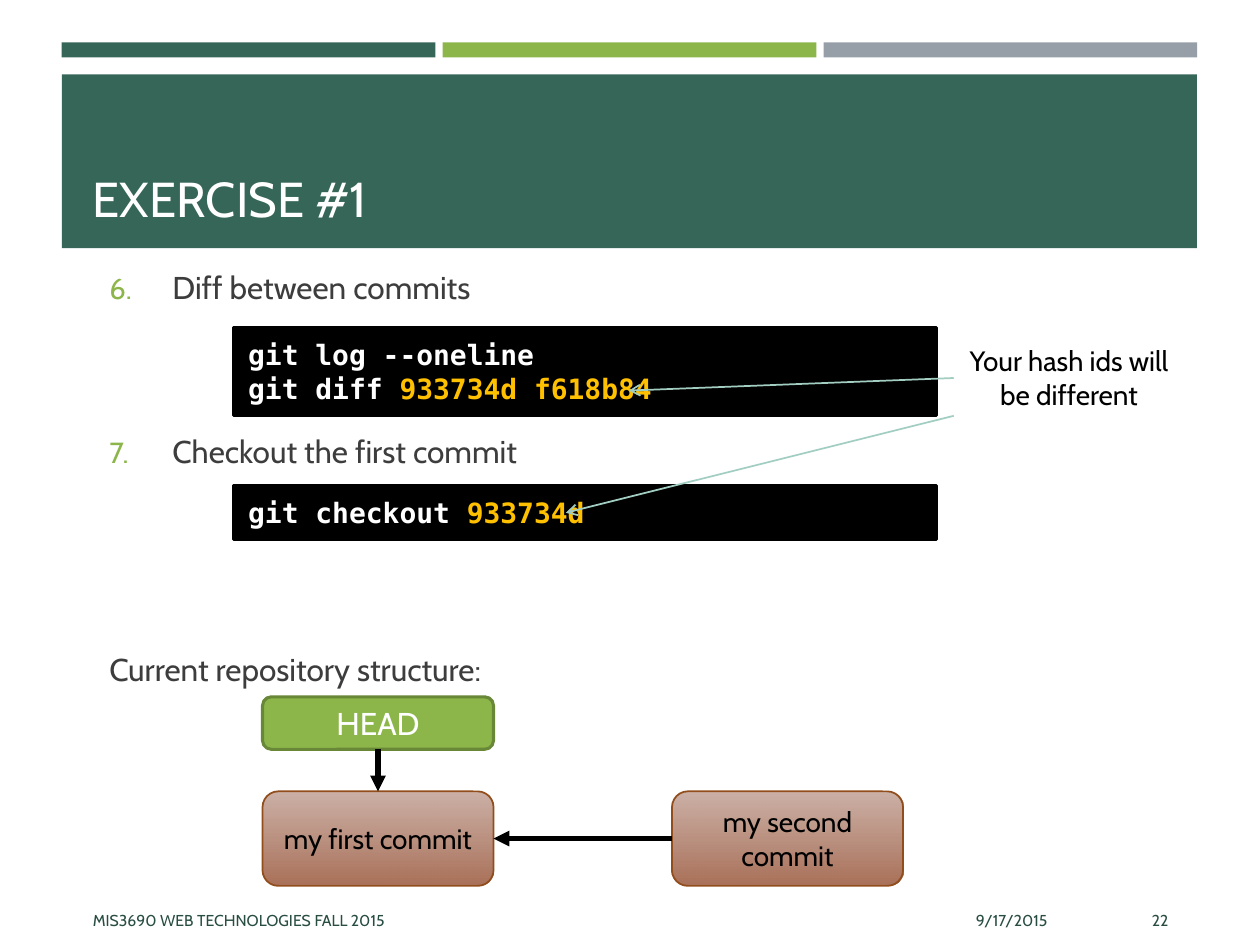
from dataclasses import dataclass

from lxml import etree
from pptx import Presentation
from pptx.dml.color import RGBColor
from pptx.enum.shapes import MSO_CONNECTOR, MSO_SHAPE
from pptx.enum.text import MSO_ANCHOR, PP_ALIGN
from pptx.oxml.ns import qn
from pptx.util import Pt

RECTANGLE, ROUNDED = MSO_SHAPE.RECTANGLE, MSO_SHAPE.ROUNDED_RECTANGLE
STRAIGHT = MSO_CONNECTOR.STRAIGHT
TOP, MIDDLE, BOTTOM = MSO_ANCHOR.TOP, MSO_ANCHOR.MIDDLE, MSO_ANCHOR.BOTTOM
LEFT, CENTER, RIGHT = PP_ALIGN.LEFT, PP_ALIGN.CENTER, PP_ALIGN.RIGHT


@dataclass(frozen=True)
class Theme:
    font: str = "Cabin"
    mono: str = "DejaVu Sans Mono"
    title_size: float = 28
    body_size: float = 18
    label_size: float = 16
    footer_size: float = 9
    white: str = "FFFFFF"
    black: str = "000000"
    dark_green: str = "366658"
    green: str = "8CB64A"
    green_edge: str = "688737"
    gray: str = "969FA7"
    body: str = "3D3D3D"
    footer: str = "284D42"
    hash: str = "FFC000"
    pointer: str = "A2CEC1"
    commit_top: str = "C6A79C"
    commit_bottom: str = "A97058"
    commit_edge: str = "914D1C"


THEME = Theme()


@dataclass(frozen=True)
class Box:
    left: float
    top: float
    width: float
    height: float

    def lengths(self):
        return Pt(self.left), Pt(self.top), Pt(self.width), Pt(self.height)


@dataclass(frozen=True)
class Label:
    text: str
    box: Box
    size: float
    color: str
    align: PP_ALIGN = LEFT
    anchor: MSO_ANCHOR = MIDDLE


@dataclass(frozen=True)
class Step:
    text: str
    space_before: float
    number: int = 0


@dataclass(frozen=True)
class CodeBlock:
    box: Box
    lines: tuple


@dataclass(frozen=True)
class Arrow:
    start: tuple
    end: tuple
    color: str
    width: float
    head: str


BARS = (THEME.dark_green, THEME.green, THEME.gray)
BAR_PITCH = 217.7
BANNER = Box(35.3, 42.5, 648.7, 99.3)
LABELS = (
    Label("EXERCISE #1", Box(46, 48.2, 629.3, 85), THEME.title_size, THEME.white, anchor=BOTTOM),
    Label("9/17/2015", Box(437.8, 511.2, 167.8, 28.8), THEME.footer_size, THEME.footer, RIGHT),
    Label("MIS3690 WEB TECHNOLOGIES FALL 2015", Box(46, 511.2, 383.8, 28.8),
          THEME.footer_size, THEME.footer),
    Label("22", Box(614.2, 511.2, 60.5, 28.8), THEME.footer_size, THEME.footer, RIGHT),
    Label("Your hash ids will be different", Box(545, 193, 131.8, 46),
          THEME.label_size, THEME.black, CENTER, TOP),
)
STEPS_BOX = Box(54, 149.8, 617.8, 347.8)
STEPS = (
    Step("Diff between commits", 0, 6),
    Step("Checkout the first commit", 66, 7),
    Step("Current repository structure:", 96.7),
)
CODE_BLOCKS = (
    CodeBlock(Box(133.2, 187.2, 401.8, 50.4),
              ((("git log --oneline", THEME.white),),
               (("git diff ", THEME.white), ("933734d f618b84", THEME.hash)))),
    CodeBlock(Box(133.2, 277.4, 401.8, 31),
              ((("git checkout ", THEME.white), ("933734d", THEME.hash)),)),
)
HEAD_BOX = Box(150, 398.2, 132, 30)
COMMITS = {
    "my first commit": Box(150, 452.2, 132, 54),
    "my second commit": Box(384, 452.2, 132, 54),
}
ARROWS = (
    Arrow((545, 216), (359.3, 223.2), THEME.pointer, 1, "arrow"),
    Arrow((545, 237.6), (323.3, 293), THEME.pointer, 1, "arrow"),
    Arrow((384, 479.2), (282, 479.2), THEME.black, 3, "triangle"),
    Arrow((216, 428.2), (216, 452.2), THEME.black, 3, "triangle"),
)


def write(paragraph, text: str, *, size: float, color: str, font: str = THEME.font,
          bold: bool = False, align: PP_ALIGN = LEFT) -> None:
    paragraph.alignment = align
    run = paragraph.add_run()
    run.text = text
    run.font.name, run.font.size, run.font.bold = font, Pt(size), bold
    run.font.color.rgb = RGBColor.from_string(color)


def add_box(slide, kind: MSO_SHAPE, box: Box, fill: str, edge: str = "", width: float = 1.75):
    shape = slide.shapes.add_shape(kind, *box.lengths())
    shape.shadow.inherit = False
    shape.fill.solid()
    shape.fill.fore_color.rgb = RGBColor.from_string(fill)
    if edge:
        shape.line.color.rgb = RGBColor.from_string(edge)
        shape.line.width = Pt(width)
    else:
        shape.line.fill.background()
    shape.text_frame.word_wrap = True
    shape.text_frame.vertical_anchor = MIDDLE
    return shape


def add_label(slide, label: Label) -> None:
    frame = slide.shapes.add_textbox(*label.box.lengths()).text_frame
    frame.word_wrap = True
    frame.vertical_anchor = label.anchor
    write(frame.paragraphs[0], label.text, size=label.size, color=label.color, align=label.align)


def number_paragraph(paragraph, number: int) -> None:
    properties = paragraph._p.get_or_add_pPr()
    properties.set("marL", str(Pt(37.4)))
    properties.set("indent", str(-Pt(36)))
    color = etree.SubElement(properties, qn("a:buClr"))
    etree.SubElement(color, qn("a:srgbClr"), val=THEME.green)
    etree.SubElement(properties, qn("a:buSzPct"), val="92000")
    etree.SubElement(properties, qn("a:buFont"), typeface=THEME.font)
    etree.SubElement(properties, qn("a:buAutoNum"), type="arabicPeriod", startAt=str(number))


def add_steps(slide, box: Box, steps: tuple) -> None:
    frame = slide.shapes.add_textbox(*box.lengths()).text_frame
    frame.word_wrap = True
    for index, step in enumerate(steps):
        paragraph = frame.add_paragraph() if index else frame.paragraphs[0]
        paragraph.space_before, paragraph.space_after = Pt(step.space_before), Pt(6)
        write(paragraph, step.text, size=THEME.body_size, color=THEME.body)
        if step.number:
            number_paragraph(paragraph, step.number)
        else:
            paragraph._p.get_or_add_pPr().set("marL", str(Pt(1.4)))


def add_code(slide, block: CodeBlock) -> None:
    frame = add_box(slide, RECTANGLE, block.box, THEME.black, THEME.black).text_frame
    frame.vertical_anchor = TOP
    frame.margin_left = frame.margin_right = Pt(8.64)
    frame.margin_top = frame.margin_bottom = Pt(5.76)
    for index, line in enumerate(block.lines):
        paragraph = frame.add_paragraph() if index else frame.paragraphs[0]
        for text, color in line:
            write(paragraph, text, size=THEME.label_size, color=color, font=THEME.mono, bold=True)


def add_commit(slide, text: str, box: Box) -> None:
    shape = add_box(slide, ROUNDED, box, THEME.commit_bottom, THEME.commit_edge, 1)
    shape.fill.gradient()
    shape.fill.gradient_angle = 270
    for position, (stop, color) in enumerate(
            zip(shape.fill.gradient_stops, (THEME.commit_top, THEME.commit_bottom))):
        stop.position = position
        stop.color.rgb = RGBColor.from_string(color)
    first_color = next(shape._element.spPr.iter(qn("a:srgbClr")))
    etree.SubElement(first_color, qn("a:alpha"), val="90000")
    write(shape.text_frame.paragraphs[0], text, size=THEME.label_size,
          color=THEME.black, align=CENTER)


def add_arrow(slide, arrow: Arrow) -> None:
    points = [Pt(value) for value in arrow.start + arrow.end]
    connector = slide.shapes.add_connector(STRAIGHT, *points)
    connector.line.color.rgb = RGBColor.from_string(arrow.color)
    connector.line.width = Pt(arrow.width)
    etree.SubElement(connector.line._get_or_add_ln(), qn("a:tailEnd"), type=arrow.head)
    etree.SubElement(connector._element.spPr, qn("a:effectLst"))


def main() -> None:
    """Build the exercise slide and save it."""
    presentation = Presentation()
    presentation.slide_width, presentation.slide_height = Pt(720), Pt(540)
    slide = presentation.slides.add_slide(presentation.slide_layouts[6])
    for index, color in enumerate(BARS):
        add_box(slide, RECTANGLE, Box(35.3 + index * BAR_PITCH, 24.2, 213.5, 8.6), color)
    add_box(slide, RECTANGLE, BANNER, THEME.dark_green)
    add_steps(slide, STEPS_BOX, STEPS)
    for block in CODE_BLOCKS:
        add_code(slide, block)
    for label in LABELS:
        add_label(slide, label)
    for text, box in COMMITS.items():
        add_commit(slide, text, box)
    head = add_box(slide, ROUNDED, HEAD_BOX, THEME.green, THEME.green_edge)
    write(head.text_frame.paragraphs[0], "HEAD", size=THEME.body_size,
          color=THEME.white, align=CENTER)
    for arrow in ARROWS:
        add_arrow(slide, arrow)
    presentation.save("out.pptx")


if __name__ == "__main__":
    main()
